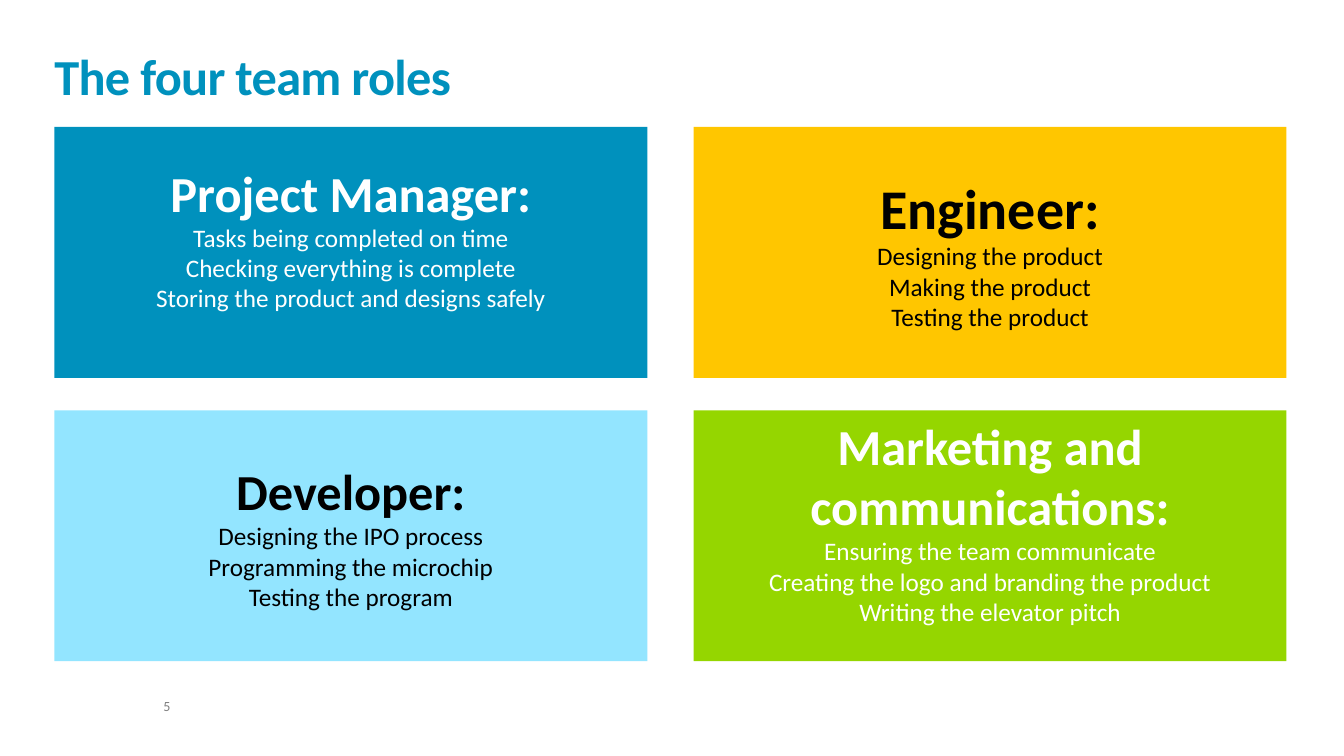
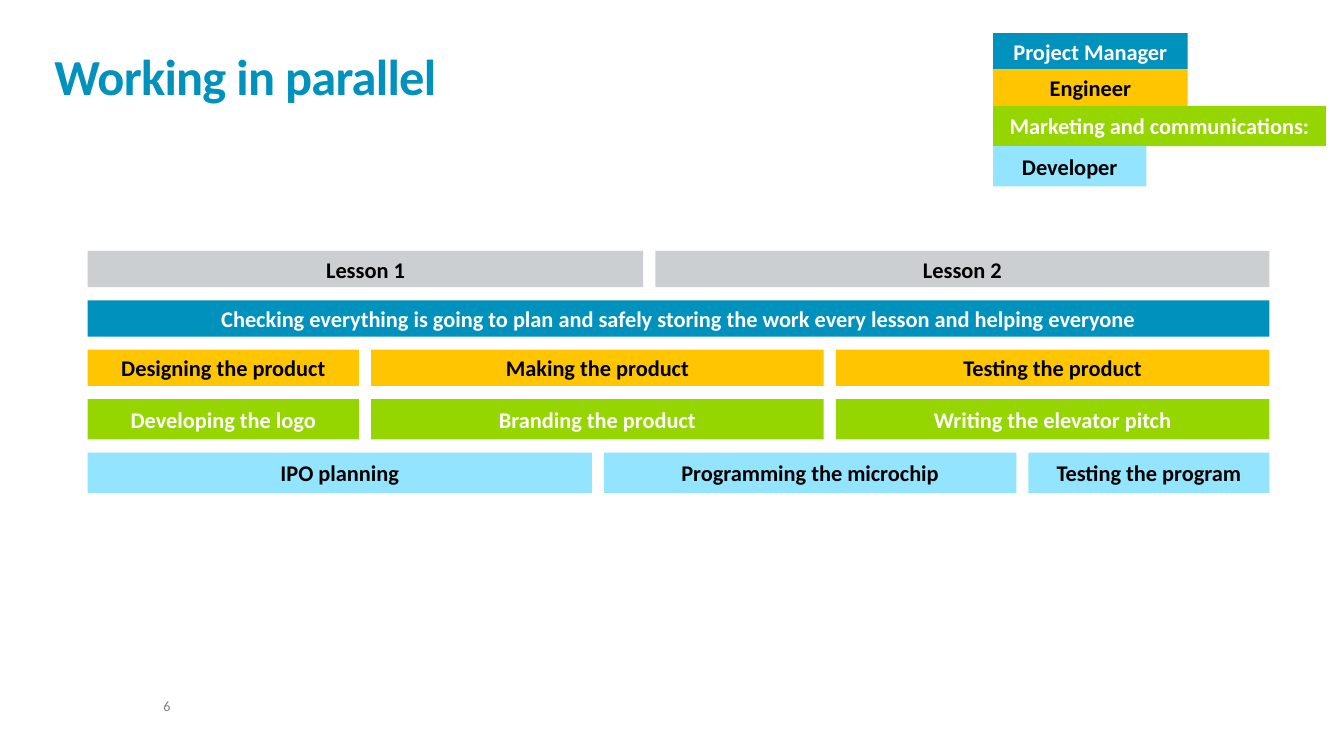
"""Build two slides on team roles and parallel working."""
from dataclasses import dataclass

from pptx import Presentation
from pptx.dml.color import RGBColor as Color
from pptx.enum.shapes import MSO_SHAPE as Shape
from pptx.enum.text import MSO_ANCHOR as Anchor, PP_ALIGN as Align
from pptx.util import Inches, Pt


@dataclass(frozen=True)
class Role:
    fill: str
    ink: str
    bar_height: float


@dataclass(frozen=True)
class Theme:
    font: str = "Calibri"
    accent: str = "0091BD"
    muted: str = "7F7F7F"
    title_size: int = 36
    body_size: int = 18
    bar_size: int = 16
    number_size: int = 10
    manager: Role = Role("0091BD", "FFFFFF", 0.36)
    engineer: Role = Role("FFC600", "000000", 0.36)
    marketing: Role = Role("95D600", "FFFFFF", 0.4)
    developer: Role = Role("93E5FF", "000000", 0.4)
    lesson: Role = Role("CBCFD1", "000000", 0.36)


THEME = Theme()


def write(para, text, *, size, color, bold=False, align=Align.LEFT,
          line=1.0, after=0, tracking=0):
    para.alignment = align
    para.line_spacing = line
    para.space_after = Pt(after)
    span = para.add_run()
    span.text = text
    span.font.name = THEME.font
    span.font.size = Pt(size)
    span.font.bold = bold
    span.font.color.rgb = Color.from_string(color)
    if tracking:
        span._r.get_or_add_rPr().set("spc", str(int(tracking * 100)))


class Slides:
    def __init__(self):
        self.deck = Presentation()
        self.deck.slide_width = Inches(13.33)
        self.deck.slide_height = Inches(7.5)
        self.page = None

    def start(self, title, number):
        self.page = self.deck.slides.add_slide(self.deck.slide_layouts[6])
        self.label(str(number), 1.62, 6.94, 1.19, 0.15, size=THEME.number_size,
                   color=THEME.muted, line=0.9, after=6)
        self.label(title, 0.54, 0.32, 12.23, 0.73, anchor=Anchor.BOTTOM,
                   size=THEME.title_size, color=THEME.accent, bold=True,
                   line=0.85, tracking=-0.5)

    def label(self, text, left, top, width, height, anchor=Anchor.TOP, **style):
        box = self.page.shapes.add_textbox(
            Inches(left), Inches(top), Inches(width), Inches(height))
        frame = box.text_frame
        frame.word_wrap = True
        frame.vertical_anchor = anchor
        frame.margin_left = frame.margin_right = 0
        frame.margin_top = frame.margin_bottom = 0
        write(frame.paragraphs[0], text, **style)

    def block(self, role, left, top, width, height):
        box = self.page.shapes.add_shape(
            Shape.RECTANGLE, Inches(left), Inches(top), Inches(width), Inches(height))
        box.shadow.inherit = False
        box.fill.solid()
        box.fill.fore_color.rgb = Color.from_string(role.fill)
        box.line.fill.background()
        frame = box.text_frame
        frame.word_wrap = True
        frame.vertical_anchor = Anchor.MIDDLE
        return frame

    def bar(self, text, role, left, top, width):
        frame = self.block(role, left, top, width, role.bar_height)
        write(frame.paragraphs[0], text, size=THEME.bar_size, color=role.ink,
              bold=True, align=Align.CENTER)

    def card(self, heading, duties, role, left, top, size=36, bottom=0.05):
        frame = self.block(role, left, top, 5.88, 2.49)
        frame.margin_bottom = Inches(bottom)
        write(frame.paragraphs[0], heading, size=size, color=role.ink,
              bold=True, align=Align.CENTER)
        for duty in duties:
            write(frame.add_paragraph(), duty, size=THEME.body_size,
                  color=role.ink, align=Align.CENTER)

    def bar_row(self, role, top, texts, widths):
        left, right, gap = 0.87, 12.59, 0.12
        inner = sum(widths) + gap * len(widths)
        for text, width in zip(texts, [*widths, right - left - inner]):
            self.bar(text, role, left, top, width)
            left += width + gap


def roles_slide(slides):
    slides.start("The four team roles", 5)
    cards = [
        ("Project Manager:",
         ["Tasks being completed on time", "Checking everything is complete",
          "Storing the product and designs safely"],
         THEME.manager, {"bottom": 0.35}),
        ("Engineer:",
         ["Designing the product", "Making the product", "Testing the product"],
         THEME.engineer, {"size": 40}),
        ("Developer:",
         ["Designing the IPO process", "Programming the microchip",
          "Testing the program"],
         THEME.developer, {}),
        ("Marketing and communications:",
         ["Ensuring the team communicate",
          "Creating the logo and branding the product",
          "Writing the elevator pitch"],
         THEME.marketing, {"bottom": 0.35}),
    ]
    for index, (heading, duties, role, options) in enumerate(cards):
        row, column = divmod(index, 2)
        slides.card(heading, duties, role, 0.54 + 6.34 * column,
                    1.26 + 2.81 * row, **options)


def parallel_slide(slides):
    slides.start("Working in parallel", 6)
    legend = [
        ("Project Manager", THEME.manager, 1.93),
        ("Engineer", THEME.engineer, 1.93),
        ("Marketing and communications:", THEME.marketing, 3.3),
        ("Developer", THEME.developer, 1.52),
    ]
    top = 0.33
    for text, role, width in legend:
        slides.bar(text, role, 9.85, top, width)
        top += role.bar_height

    rows = [
        (THEME.lesson, ["Lesson 1", "Lesson 2"], [5.51]),
        (THEME.manager,
         ["Checking everything is going to plan and safely storing the work "
          "every lesson and helping everyone"], []),
        (THEME.engineer,
         ["Designing the product", "Making the product", "Testing the product"],
         [2.69, 4.49]),
        (THEME.marketing,
         ["Developing the logo", "Branding the product",
          "Writing the elevator pitch"], [2.69, 4.49]),
        (THEME.developer,
         ["IPO planning", "Programming the microchip", "Testing the program"],
         [5, 4.09]),
    ]
    top = 2.49
    for role, texts, widths in rows:
        slides.bar_row(role, top, texts, widths)
        top += role.bar_height + 0.13


def main():
    slides = Slides()
    roles_slide(slides)
    parallel_slide(slides)
    slides.deck.save("out.pptx")


if __name__ == "__main__":
    main()
